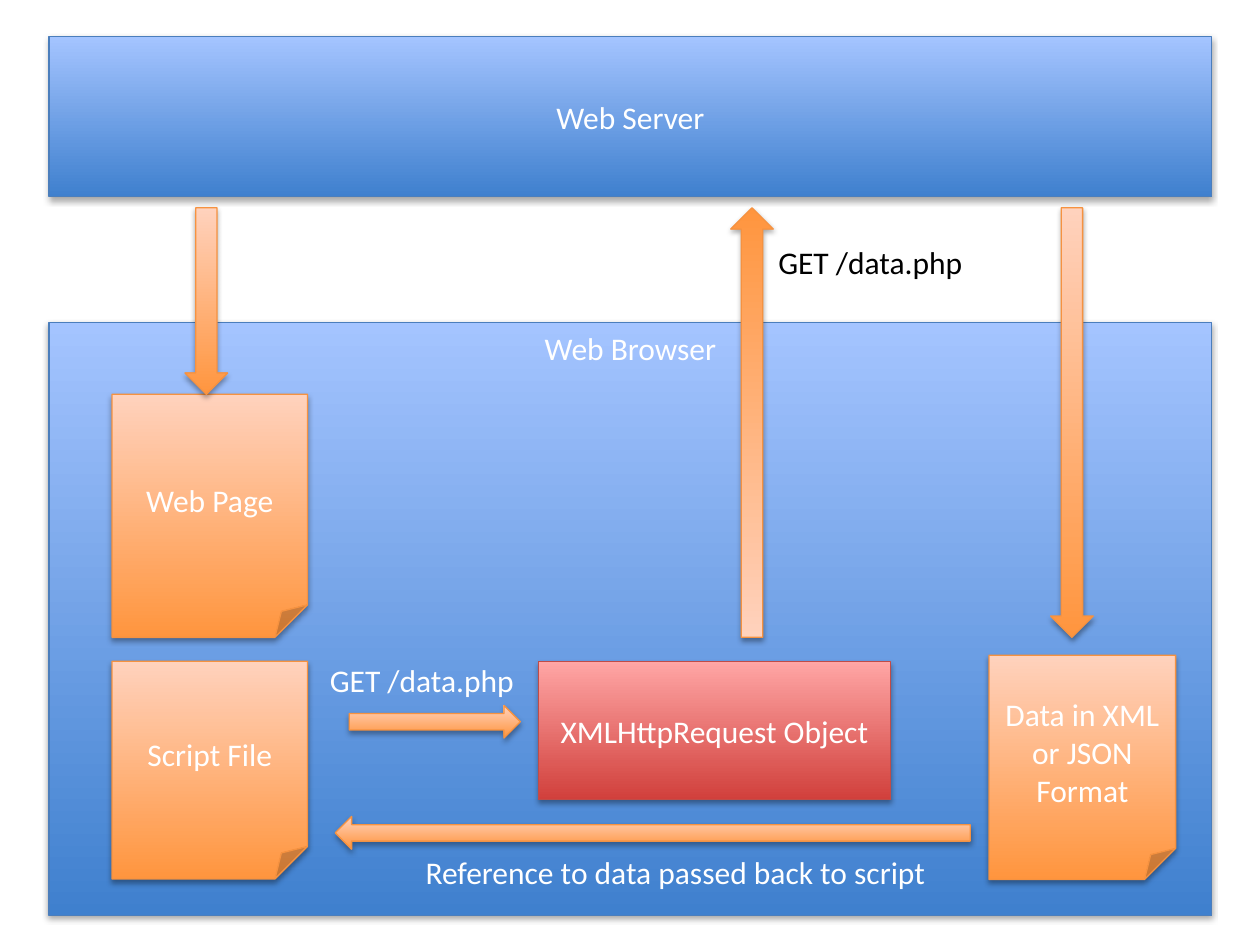
from lxml.etree import SubElement
from pptx import Presentation
from pptx.dml.color import RGBColor
from pptx.enum.shapes import MSO_SHAPE as Shape
from pptx.enum.text import MSO_ANCHOR as Anchor, MSO_AUTO_SIZE as AutoSize, PP_ALIGN as Align
from pptx.oxml.ns import qn
from pptx.util import Cm, Pt

COLOURS = {
    "blue": ("3F80CE", "A4C4FF", "4B7EBC"),
    "orange": ("FF953E", "FFD2BD", "F69240"),
    "red": ("D1403C", "FFA6A5", "BF4C48"),
    "white": "FFFFFF",
    "black": "000000",
}
FONT = "Calibri"
ARROW_THICK = 0.86
FLOW_THICK = 0.66


def within(box, left, top, width, height):
    """Turn a place relative to a box, in cm, into a place on the slide."""
    return box[0] + left, box[1] + top, width, height


def style_text(frame, text, colour, align):
    """Write text into a frame and format its runs."""
    frame.text = text
    for paragraph in frame.paragraphs:
        paragraph.alignment = align
        for run in paragraph.runs:
            run.font.name, run.font.size = FONT, Pt(18)
            run.font.color.rgb = RGBColor.from_string(COLOURS[colour])


def add_shadow(shape):
    """Give a shape a soft shadow falling straight down."""
    shape.shadow.inherit = False
    effects = shape._element.spPr.find(qn("a:effectLst"))
    shadow = SubElement(effects, qn("a:outerShdw"), blurRad="40000", dist="23000",
                        dir="5400000", rotWithShape="0")
    tint = SubElement(shadow, qn("a:srgbClr"), val=COLOURS["black"])
    SubElement(tint, qn("a:alpha"), val="35000")


def add_block(slide, kind, place, palette, text="", anchor=Anchor.MIDDLE, flip=None):
    """Add a gradient shape, optionally with text or mirrored."""
    block = slide.shapes.add_shape(kind, *map(Cm, place))
    bottom, top, edge = map(RGBColor.from_string, COLOURS[palette])
    block.fill.gradient()
    block.fill.gradient_angle = 90
    for stop, colour in zip(block.fill.gradient_stops, (bottom, top)):
        stop.color.rgb = colour
    block.fill.gradient_stops[0].position = 0
    block.fill.gradient_stops[1].position = 1
    block.line.color.rgb = edge
    block.line.width = Pt(0.75)
    add_shadow(block)
    if flip:
        block._element.spPr.find(qn("a:xfrm")).set(flip, "1")
    if text:
        block.text_frame.vertical_anchor = anchor
        style_text(block.text_frame, text, "white", Align.CENTER)


def add_label(slide, place, text, colour):
    """Add a single-line caption."""
    frame = slide.shapes.add_textbox(*map(Cm, place)).text_frame
    frame.word_wrap = False
    frame.auto_size = AutoSize.SHAPE_TO_FIT_TEXT
    style_text(frame, text, colour, Align.LEFT)


def draw_server(slide, box):
    """Draw the server bar."""
    add_block(slide, Shape.RECTANGLE, box, "blue", "Web Server")


def draw_browser(slide, box):
    """Draw the browser panel with its documents, request object and flows."""
    add_block(slide, Shape.RECTANGLE, box, "blue", "Web Browser", Anchor.TOP)
    documents = (
        ("Web Page", 1.27, 1.45, 3.94, 4.9),
        ("Script File", 1.27, 6.83, 3.94, 4.39),
        ("Data in XML or JSON Format", 18.95, 6.71, 3.76, 4.52),
    )
    for text, *place in documents:
        add_block(slide, Shape.FOLDED_CORNER, within(box, *place), "orange", text)
    add_block(slide, Shape.RECTANGLE, within(box, 9.86, 6.83, 7.11, 2.79), "red",
              "XMLHttpRequest Object")
    for left, top, width, flip in ((6.05, 7.72, 3.45, None), (5.77, 9.96, 12.8, "flipH")):
        add_block(slide, Shape.RIGHT_ARROW, within(box, left, top, width, FLOW_THICK),
                  "orange", flip=flip)
    add_label(slide, within(box, 5.41, 6.71, 4.27, 1.02), "GET /data.php", "white")
    add_label(slide, within(box, 7.34, 10.57, 10.77, 1.02),
              "Reference to data passed back to script", "white")


def draw_transfers(slide, box):
    """Draw the arrows between server and browser, hung from the top of the box."""
    for left, length, flip in ((2.74, 3.76, None), (13.74, box[3], "flipV"),
                               (20.19, box[3], None)):
        add_block(slide, Shape.DOWN_ARROW, within(box, left, 0, ARROW_THICK, length),
                  "orange", flip=flip)
    add_label(slide, within(box, 14.45, 0.58, 4.27, 1.02), "GET /data.php", "black")


def main():
    """Build the slide and save it."""
    deck = Presentation()
    deck.slide_width, deck.slide_height = Cm(25.4), Cm(19.05)
    slide = deck.slides.add_slide(deck.slide_layouts[6])
    left, width = 0.99, 23.44
    draw_server(slide, (left, 0.74, width, 3.23))
    draw_browser(slide, (left, 6.5, width, 11.96))
    draw_transfers(slide, (left, 4.19, width, 8.66))
    deck.save("out.pptx")


if __name__ == "__main__":
    main()
